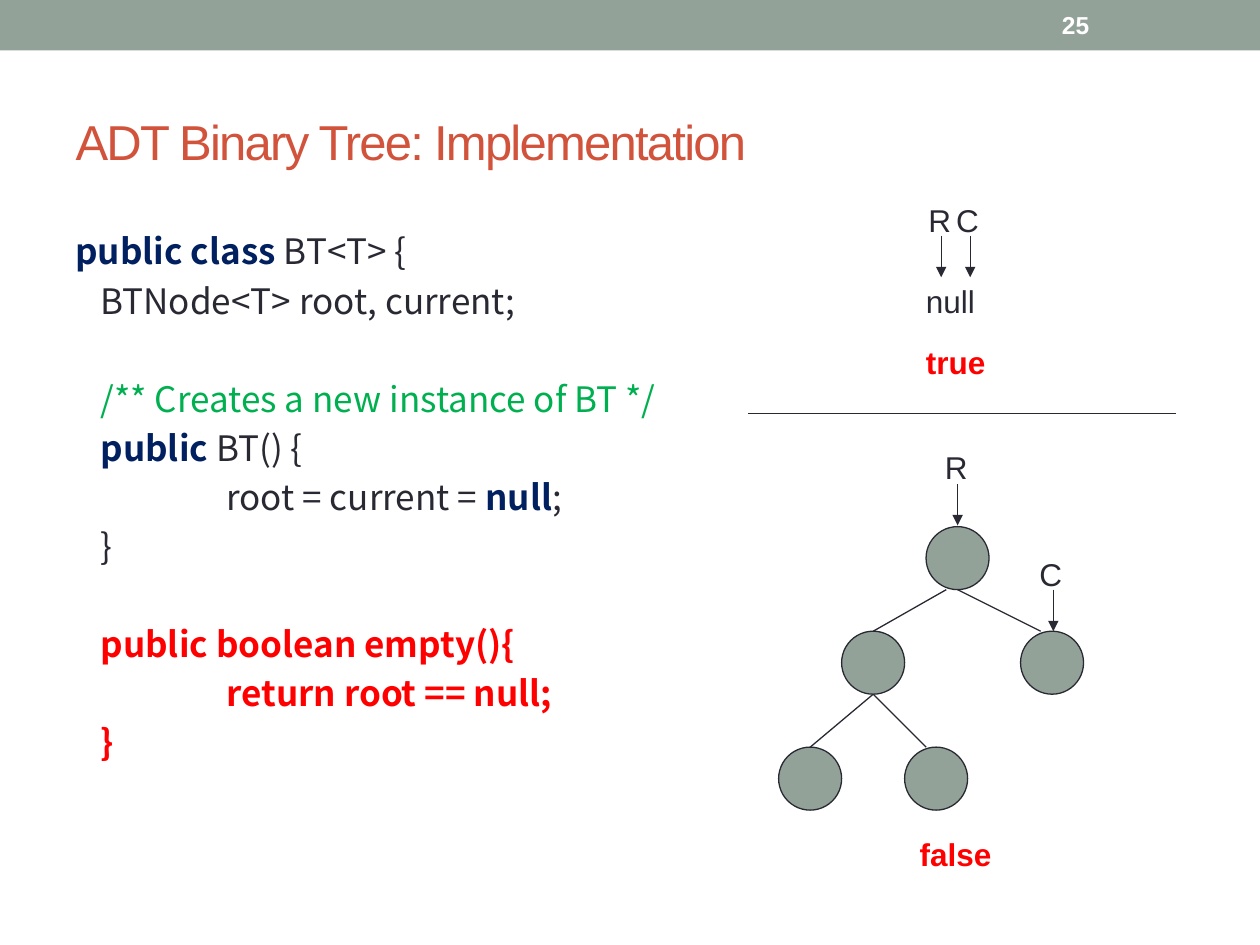
from pptx import Presentation
from pptx.dml.color import RGBColor
from pptx.enum.shapes import MSO_CONNECTOR, MSO_SHAPE
from pptx.enum.text import MSO_ANCHOR, PP_ALIGN
from pptx.oxml.ns import qn
from pptx.util import Inches, Pt
from lxml import etree

INK, SAGE, NAVY, GREEN, RED = "292934", "93A299", "002060", "00B050", "FF0000"
CODE_FONT = "Noto Sans CJK SC"


def add_run(p, text, size=18, color=INK, bold=False, font="Arial"):
    r = p.add_run()
    r.text = text
    r.font.size, r.font.bold, r.font.name = Pt(size), bold, font
    r.font.color.rgb = RGBColor.from_string(color)
    rPr = r.font._element
    etree.SubElement(rPr, qn("a:ea")).set("typeface", font)
    return r


def add_line(x1, y1, x2, y2, arrow=False):
    c = s.shapes.add_connector(MSO_CONNECTOR.STRAIGHT, Inches(x1), Inches(y1),
                               Inches(x2), Inches(y2))
    c.line.width = Pt(0.75)
    c.line.color.rgb = RGBColor.from_string(INK)
    if arrow:
        etree.SubElement(c.line._get_or_add_ln(), qn("a:tailEnd")).set("type", "triangle")
    etree.SubElement(c._element.spPr, qn("a:effectLst"))


prs = Presentation()
prs.slide_width, prs.slide_height = Inches(10), Inches(7.5)
s = prs.slides.add_slide(prs.slide_layouts[5])

# Header band and slide number
band = s.shapes.add_shape(MSO_SHAPE.RECTANGLE, 0, 0, Inches(10), Inches(0.4))
band.shadow.inherit = False
band.fill.solid()
band.fill.fore_color.rgb = RGBColor.from_string(SAGE)
band.line.fill.background()

number = s.shapes.add_textbox(Inches(8.33), Inches(0.02), Inches(1.17), Inches(0.36))
tf = number.text_frame
tf.word_wrap = True
tf.vertical_anchor = MSO_ANCHOR.MIDDLE
add_run(tf.paragraphs[0], "25", size=14, color="FFFFFF", bold=True)

# Title
title = s.shapes.title
title.left, title.top = Inches(0.5), Inches(0.58)
title.width, title.height = Inches(9), Inches(1.08)
tf = title.text_frame
tf.vertical_anchor = MSO_ANCHOR.MIDDLE
p = tf.paragraphs[0]
p.alignment = PP_ALIGN.LEFT
r = add_run(p, "ADT Binary Tree: Implementation", size=28, color="D2533C")
r.font._element.set("spc", "-100")

# Code: left indent, blank line above, runs of (text, colour, bold)
code = [
    (0, False, [("public class ", NAVY, True), ("BT<T> {", INK, False)]),
    (0.2, False, [("BTNode<T> root, current;", INK, False)]),
    (0.2, True, [("/** Creates a new instance of BT */", GREEN, False)]),
    (0.2, False, [("public ", NAVY, True), ("BT() {", INK, False)]),
    (1.2, False, [("root = current = ", INK, False), ("null", NAVY, True), (";", INK, False)]),
    (0.2, False, [("}", INK, False)]),
    (0.2, True, [("public boolean empty(){", RED, True)]),
    (1.2, False, [("return root == null;", RED, True)]),
    (0.2, False, [("}", RED, True)]),
]
body = s.shapes.add_textbox(Inches(0.5), Inches(1.75), Inches(9), Inches(5.33))
tf = body.text_frame
tf.word_wrap = True
tf.margin_top = Inches(0.02)
for i, (indent, gap, runs) in enumerate(code):
    p = tf.paragraphs[0] if i == 0 else tf.add_paragraph()
    p.line_spacing = Pt(28)
    p.space_before = Pt(28 if gap else 0)
    p._p.get_or_add_pPr().set("marL", str(Inches(indent)))
    for text, color, bold in runs:
        add_run(p, text, size=20, color=color, bold=bold, font=CODE_FONT)

# Tree nodes and edges
for x, y in [(7.35, 4.18), (6.68, 5.01), (8.1, 5.01), (6.18, 5.93), (7.18, 5.93)]:
    node = s.shapes.add_shape(MSO_SHAPE.OVAL, Inches(x), Inches(y), Inches(0.5), Inches(0.5))
    node.shadow.inherit = False
    node.fill.solid()
    node.fill.fore_color.rgb = RGBColor.from_string(SAGE)
    node.line.width = Pt(0.75)
    node.line.color.rgb = RGBColor.from_string(INK)

for edge in [(7.51, 4.68, 6.93, 5.01), (7.6, 4.68, 8.26, 5.01),
             (6.93, 5.51, 6.43, 5.93), (6.93, 5.51, 7.35, 5.93)]:
    add_line(*edge)

# Reference arrows and the divider between the two cases
for x, y in [(7.47, 1.87), (7.7, 1.87), (7.6, 3.84), (8.36, 4.68)]:
    add_line(x, y, x, y + 0.33, arrow=True)
add_line(5.94, 3.28, 9.33, 3.28)

# Labels
for text, x, y, w, color in [
    ("R", 7.27, 1.55, 0.36, INK),
    ("C", 7.49, 1.55, 0.38, INK),
    ("null", 7.25, 2.19, 0.66, INK),
    ("true", 7.25, 2.67, 0.7, RED),
    ("R", 7.4, 3.51, 0.36, INK),
    ("C", 8.15, 4.36, 0.38, INK),
    ("false", 7.2, 6.58, 0.78, RED),
]:
    label = s.shapes.add_textbox(Inches(x), Inches(y), Inches(w), Inches(0.4))
    label.text_frame.word_wrap = False
    add_run(label.text_frame.paragraphs[0], text, color=color, bold=color == RED)

prs.save("out.pptx")
